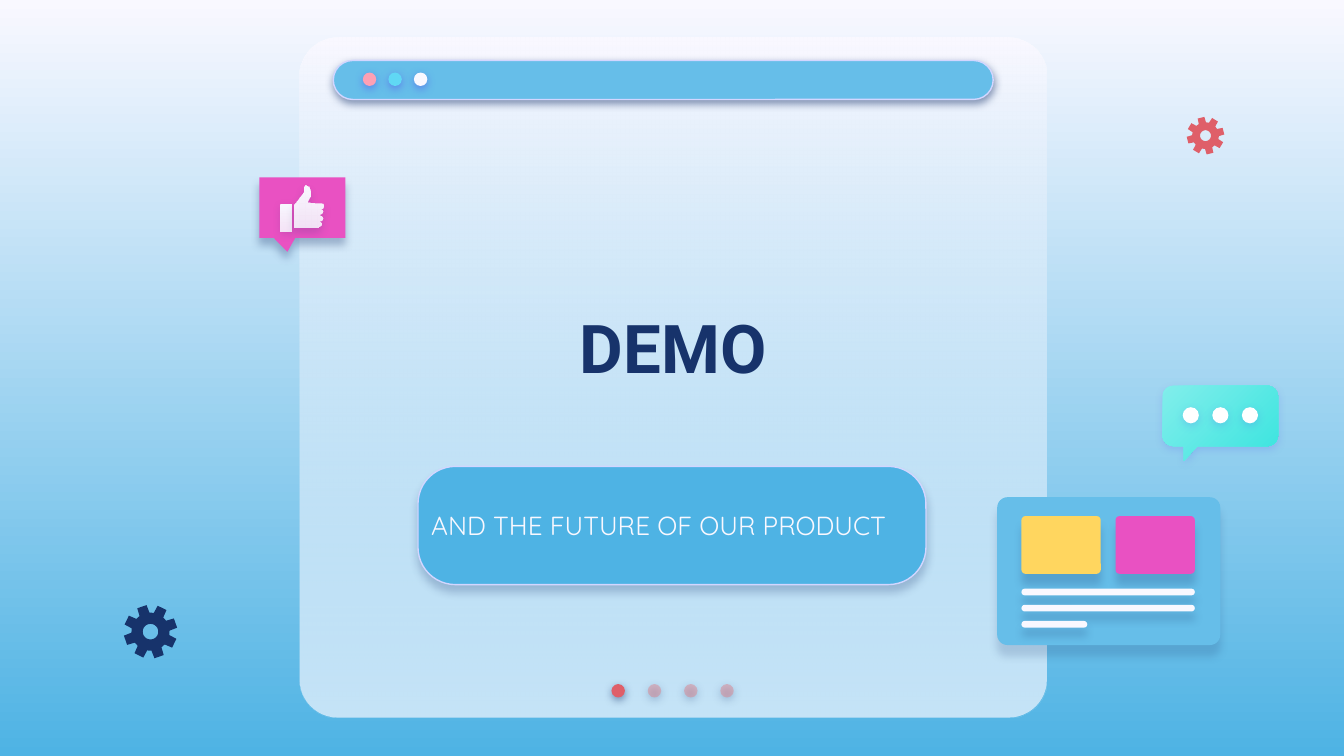
from math import cos, sin, radians

from lxml.etree import SubElement
from pptx import Presentation
from pptx.dml.color import RGBColor
from pptx.enum.shapes import MSO_SHAPE
from pptx.enum.text import MSO_ANCHOR, PP_ALIGN
from pptx.oxml.ns import qn
from pptx.util import Inches, Pt

PALE = RGBColor(0xF9, 0xF8, 0xFF)
SKY = RGBColor(0x4E, 0xB3, 0xE4)
BLUE = RGBColor(0x66, 0xBE, 0xE9)
NAVY = RGBColor(0x17, 0x33, 0x6B)
INDIGO = RGBColor(0x53, 0x52, 0xEE)
OUTLINE = RGBColor(0xD2, 0xD6, 0xFF)
RED = RGBColor(0xDF, 0x5F, 0x69)
SOFT_RED = RGBColor(0xE2, 0x7B, 0x83)
ROSE = RGBColor(0xFD, 0xA0, 0xB4)
CYAN = RGBColor(0x60, 0xD8, 0xF4)
YELLOW = RGBColor(0xFF, 0xD6, 0x5F)
PINK = RGBColor(0xE9, 0x51, 0xC2)
MINT = RGBColor(0x81, 0xEE, 0xEB)
TEAL = RGBColor(0x3A, 0xE4, 0xDF)
WHITE = RGBColor(0xFF, 0xFF, 0xFF)


def style(sp, colors, alpha=None, shadow=None, line=None, angle=270):
    """Fill with one colour or a two-colour gradient; alpha applies to the last.

    shadow is (colour, opacity %, distance in points).
    """
    if len(colors) == 1:
        sp.fill.solid()
        sp.fill.fore_color.rgb = colors[0]
    else:
        sp.fill.gradient()
        sp.fill.gradient_angle = angle
        for stop, color in zip(sp.fill.gradient_stops, colors):
            stop.color.rgb = color
    spPr = sp._element.spPr
    if alpha:
        last = spPr.findall(".//" + qn("a:srgbClr"))[-1]
        SubElement(last, qn("a:alpha"), val=str(alpha * 1000))
    if line:
        sp.line.color.rgb = line
        sp.line.width = Pt(0.75)
    else:
        sp.line.fill.background()
    sp.shadow.inherit = False
    if shadow:
        color, opacity, dist = shadow
        outer = SubElement(spPr.find(qn("a:effectLst")), qn("a:outerShdw"),
                           blurRad=str(Pt(4.5)), dist=str(Pt(dist)),
                           dir="5400000", algn="bl", rotWithShape="0")
        clr = SubElement(outer, qn("a:srgbClr"), val=str(color))
        SubElement(clr, qn("a:alpha"), val=str(opacity * 1000))


def arc(cx, cy, radius, start, end, steps=8):
    """Points along a circular arc, angles in degrees, clockwise from the right."""
    angles = [radians(start + (end - start) * i / steps) for i in range(steps + 1)]
    return [(cx + radius * cos(a), cy + radius * sin(a)) for a in angles]


prs = Presentation()
prs.slide_width = Inches(10)
prs.slide_height = Inches(10) * 9 // 16
s = prs.slides.add_slide(prs.slide_layouts[6])
shapes = s.shapes

# Background
bg = s.background.fill
bg.gradient()
bg.gradient_angle = 270
for stop, color in zip(bg.gradient_stops, (PALE, SKY)):
    stop.color.rgb = color

# Rounded boxes: window, title bar, subtitle panel, content card
NAVY_SOFT = (NAVY, 50, 1.5)
TILE = (NAVY, 20, 6)
BAR = (NAVY, 21, 4.5)
boxes = [
    (2.23, 0.28, 5.56, 5.06, 0.056, [PALE], None, None, None),
    (2.23, 0.28, 5.56, 5.06, 0.056, [PALE, BLUE], 35, None, None),
    (2.48, 0.45, 4.91, 0.29, 0.5, [BLUE], None, NAVY_SOFT, OUTLINE),
    (3.11, 3.47, 3.78, 0.88, 0.317, [SKY], None, (NAVY, 24, 3.8), OUTLINE),
    (7.42, 3.7, 1.66, 1.1, 0.07, [BLUE], None, (NAVY, 17, 6), None),
    (7.6, 3.84, 0.59, 0.43, 0.07, [YELLOW], None, TILE, None),
    (8.3, 3.84, 0.59, 0.43, 0.07, [PINK], None, TILE, None),
]
for i, width in enumerate((1.29, 1.29, 0.49)):
    boxes.append((7.6, 4.38 + 0.12 * i, width, 0.05, 0.5, [PALE], None, BAR, None))
for x, y, w, h, adj, colors, alpha, shadow, line in boxes:
    sp = shapes.add_shape(MSO_SHAPE.ROUNDED_RECTANGLE,
                          Inches(x), Inches(y), Inches(w), Inches(h))
    sp.adjustments[0] = adj
    style(sp, colors, alpha, shadow, line)

# Thumbs-up callout
sp = shapes.add_shape(MSO_SHAPE.ROUNDED_RECTANGULAR_CALLOUT,
                      Inches(1.93), Inches(1.32), Inches(0.64), Inches(0.45))
for i, adj in enumerate((-0.174, 0.731, 0)):
    sp.adjustments[i] = adj
style(sp, [PINK], shadow=(NAVY, 31, 3.8))
sp = shapes.add_shape(MSO_SHAPE.ROUNDED_RECTANGLE,
                      Inches(2.09), Inches(1.52), Inches(0.08), Inches(0.2))
sp.adjustments[0] = 0.08
style(sp, [PALE, PALE], 87, (NAVY, 16, 1.5))

# Outlines: hand, chat bubble, gears
hand = [(2.19, 1.69), (2.19, 1.52), (2.26, 1.43), (2.26, 1.4)]
hand += arc(2.28, 1.4, 0.02, 180, 270) + [(2.3, 1.39), (2.31, 1.42),
                                          (2.31, 1.46), (2.29, 1.5)]
for x, y in ((2.39, 1.53), (2.38, 1.57), (2.38, 1.62), (2.37, 1.66)):
    hand += arc(x, y, 0.02, -90, 90)
hand.append((2.37, 1.69))

bubble = (arc(8.73, 2.95, 0.08, 180, 270) + arc(9.43, 2.95, 0.08, 270, 360)
          + arc(9.43, 3.24, 0.08, 0, 90) + [(8.91, 3.32), (8.81, 3.43), (8.81, 3.32)]
          + arc(8.73, 3.24, 0.08, 90, 180))

outlines = [
    ([hand], [PALE, PALE], 87, (NAVY, 19, 3), 270),
    ([bubble], [MINT, TEAL], None, (INDIGO, 18, 1.5), 315),
]
for cx, cy, radius, turn, color in ((1.12, 4.7, 0.2, -109, NAVY),
                                    (8.97, 1.01, 0.14, -104, RED)):
    rim = []
    for tooth in range(8):
        mid = turn + 45 * tooth
        for offset, reach in ((-16, 0.71), (-10.5, 1), (10.5, 1), (16, 0.71)):
            rim += arc(cx, cy, radius * reach, mid + offset, mid + offset, 1)[:1]
    hole = arc(cx, cy, radius * 0.29, 360, 0, 24)
    outlines.append(([rim, hole], [color], None, None, 270))

for contours, colors, alpha, shadow, angle in outlines:
    contours = [[(Inches(x), Inches(y)) for x, y in c] for c in contours]
    builder = shapes.build_freeform(*contours[0][0])
    builder.add_line_segments(contours[0][1:], close=True)
    for contour in contours[1:]:
        builder.move_to(*contour[0])
        builder.add_line_segments(contour[1:], close=True)
    style(builder.convert_to_shape(), colors, alpha, shadow, angle=angle)

# Dots: page markers, window buttons, chat bubble
dot_rows = [
    (4.55, 5.09, 0.27, 0.1, [RED] + [SOFT_RED] * 3, NAVY_SOFT),
    (2.7, 0.54, 0.19, 0.1, [ROSE, CYAN, PALE], (INDIGO, 50, 1.5)),
    (8.8, 3.03, 0.22, 0.12, [WHITE] * 3, (INDIGO, 18, 1.5)),
]
for left, top, step, size, colors, shadow in dot_rows:
    for i, color in enumerate(colors):
        sp = shapes.add_shape(MSO_SHAPE.OVAL, Inches(left + step * i), Inches(top),
                              Inches(size), Inches(size))
        style(sp, [color], 44 if color == SOFT_RED else None, shadow)

# Title and subtitle
texts = [
    ("DEMO", 2.71, 1.67, 4.6, 1.82, PP_ALIGN.CENTER, "Roboto", 36, NAVY, True),
    ("AND THE FUTURE OF OUR PRODUCT", 3.11, 3.52, 3.78, 0.78, PP_ALIGN.LEFT,
     "Quicksand", 14, PALE, False),
]
for text, x, y, w, h, align, font, size, color, bold in texts:
    tf = shapes.add_textbox(Inches(x), Inches(y), Inches(w), Inches(h)).text_frame
    tf.word_wrap = True
    tf.vertical_anchor = MSO_ANCHOR.MIDDLE
    tf.margin_left = tf.margin_right = tf.margin_top = tf.margin_bottom = Inches(0.1)
    tf.text = text
    p = tf.paragraphs[0]
    p.alignment = align
    r = p.runs[0]
    r.font.name, r.font.size, r.font.bold = font, Pt(size), bold
    r.font.color.rgb = color

prs.save("out.pptx")
